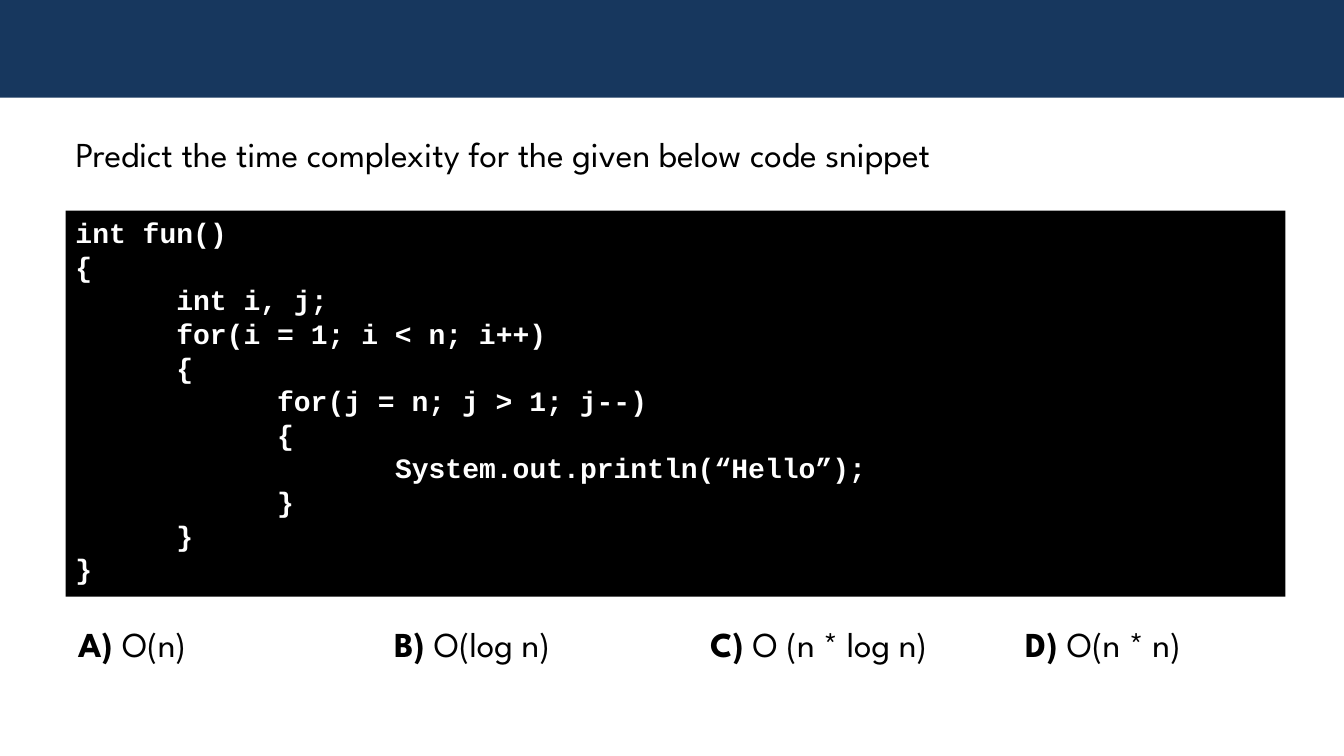
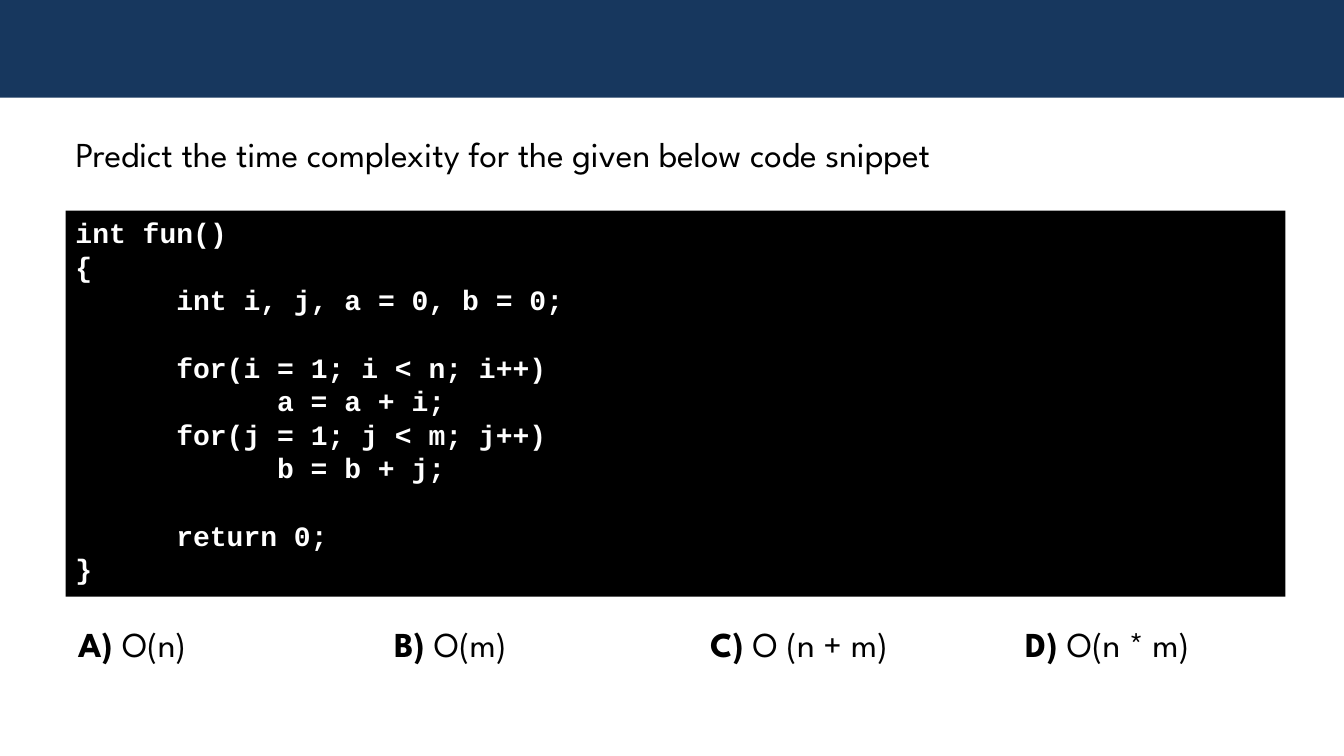
from pptx import Presentation
from pptx.dml.color import RGBColor
from pptx.enum.shapes import MSO_SHAPE
from pptx.enum.text import MSO_ANCHOR, MSO_AUTO_SIZE, PP_ALIGN
from pptx.util import Inches, Pt

RECT = MSO_SHAPE.RECTANGLE
TOP = MSO_ANCHOR.TOP
LEFT = PP_ALIGN.LEFT
GROW = MSO_AUTO_SIZE.SHAPE_TO_FIT_TEXT

QUESTION = "Predict the time complexity for the given below code snippet"

# Each code line: indent in tabs, text; an empty text is a blank line
QUIZZES = [
    ([(0, "int fun()"), (0, "{"),
      (1, "int i, j;"),
      (1, "for(i = 1; i < n; i++)"), (1, "{"),
      (2, "for(j = n; j > 1; j--)"), (2, "{"),
      (3.17, "System.out.println(“Hello”);"),
      (2, "}"), (1, "}"), (0, "}")],
     ["O(n)", "O(log n)", "O (n * log n)", "O(n * n)"]),
    ([(0, "int fun()"), (0, "{"),
      (1, "int i, j, a = 0, b = 0;"), (0, ""),
      (1, "for(i = 1; i < n; i++)"), (2, "a = a + i;"),
      (1, "for(j = 1; j < m; j++)"), (2, "b = b + j;"), (0, ""),
      (1, "return 0;"), (0, "}")],
     ["O(n)", "O(m)", "O (n + m)", "O(n * m)"]),
]


def rgb(value):
    return RGBColor.from_string(value)


class Deck:
    NAVY, BLACK, WHITE = "17375E", "000000", "FFFFFF"
    TEXT_FONT, CODE_FONT = "League Spartan", "Courier New"
    TEXT_SIZE, CODE_SIZE, CODE_LINE = 25, 20, 24
    MARGIN = 4.88          # percent of the slide's width
    OPTION_LEFT, OPTION_STEP = 5.1, 23.5

    def __init__(self):
        self.prs = Presentation()
        self.prs.slide_width = Inches(13.333)
        self.prs.slide_height = Inches(7.5)
        self.slide = None

    def place(self, left, top, width, height):
        """Turn percentages of the slide into lengths."""
        w, h = self.prs.slide_width, self.prs.slide_height
        return [int(share * side / 100) for share, side in
                ((left, w), (top, h), (width, w), (height, h))]

    def style(self, p, font, size, color, bold=None):
        p.alignment = LEFT
        p.font.name, p.font.size, p.font.bold = font, Pt(size), bold
        p.font.color.rgb = rgb(color)

    def new_slide(self):
        self.slide = self.prs.slides.add_slide(self.prs.slide_layouts[6])
        self.panel((0, 0, 100, 12.93), self.NAVY)

    def panel(self, box, color):
        sp = self.slide.shapes.add_shape(RECT, *self.place(*box))
        sp.shadow.inherit = False
        sp.fill.solid()
        sp.fill.fore_color.rgb = rgb(color)
        sp.line.fill.background()
        return sp

    def text(self, box, *parts):
        """Add one line made of (text, bold) parts."""
        sp = self.slide.shapes.add_textbox(*self.place(*box))
        tf = sp.text_frame
        tf.word_wrap = True
        tf.auto_size = GROW
        p = tf.paragraphs[0]
        self.style(p, self.TEXT_FONT, self.TEXT_SIZE, self.BLACK)
        for words, bold in parts:
            r = p.add_run()
            r.text = words
            r.font.bold = bold
        return p

    def code(self, lines):
        sp = self.panel((self.MARGIN, 27.87, 90.77, 51.07), self.BLACK)
        tf = sp.text_frame
        tf.vertical_anchor = TOP
        p, gap = tf.paragraphs[0], 0
        for tabs, words in lines:
            if not words:
                gap += self.CODE_LINE
                continue
            if p.text:
                p = tf.add_paragraph()
            p.text = words
            self.style(p, self.CODE_FONT, self.CODE_SIZE, self.WHITE, True)
            p.line_spacing = Pt(self.CODE_LINE)
            p.space_before = Pt(gap)
            p._p.get_or_add_pPr().set("marL", str(Inches(tabs)))
            gap = 0

    def options(self, answers):
        for i, (letter, answer) in enumerate(zip("ABCD", answers)):
            left = self.OPTION_LEFT + i * self.OPTION_STEP
            p = self.text((left, 78.93, 19.13, 9.07),
                          (letter + ")", True), (" " + answer, False))
            p.line_spacing = 1.5


def main():
    deck = Deck()
    for lines, answers in QUIZZES:
        deck.new_slide()
        deck.text((deck.MARGIN, 16.93, 89.87, 6.93), (QUESTION, False))
        deck.code(lines)
        deck.options(answers)
    deck.prs.save("out.pptx")


if __name__ == "__main__":
    main()
